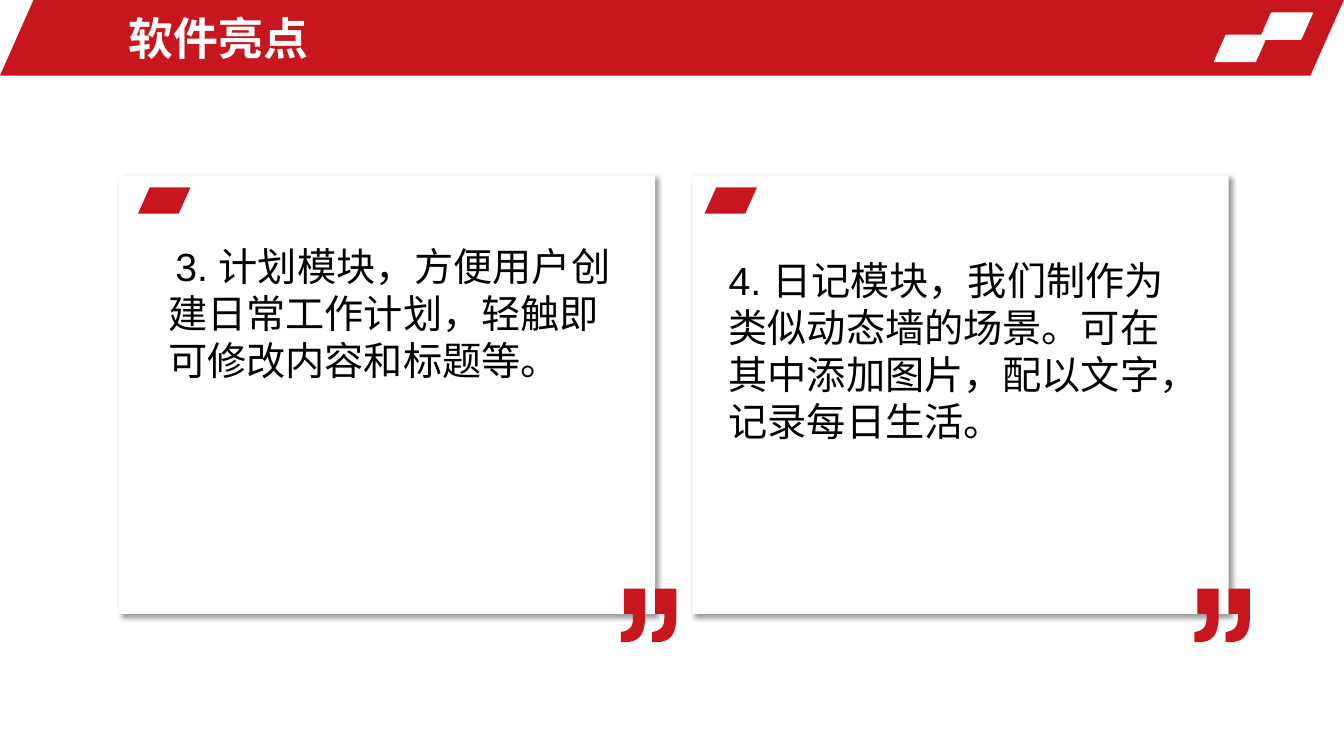
from lxml.etree import SubElement
from pptx import Presentation
from pptx.dml.color import RGBColor
from pptx.enum.shapes import MSO_SHAPE
from pptx.enum.text import MSO_ANCHOR, MSO_AUTO_SIZE
from pptx.oxml.ns import qn
from pptx.util import Emu, Inches, Pt

RED, WHITE, BLACK = "C8161E", "FFFFFF", "000000"
CARD_LEFT, CARD_TOP, CARD_PITCH = 14.16, 20.88, 68.28
CARD_SIZE = (63.84, 52.2)
TAB_SIZE = (6.24, 3.12)
CARDS = [
    ("3. 计划模块，方便用户创建日常工作计划，轻触即可修改内容和标题等。",
     2.28, (18.84, 28.2, 55.92, 18.12), 0.07),
    ("4. 日记模块，我们制作为类似动态墙的场景。可在其中添加图片，配以文字，记录每日生活。",
     1.44, (85.56, 29.88, 56.64, 31.08), 0),
]


def color(value):
    return RGBColor.from_string(value)


def curve(start, first, second, end, steps=10):
    points = []
    for step in range(1, steps + 1):
        t = step / steps
        weights = ((1 - t) ** 3, 3 * t * (1 - t) ** 2, 3 * t * t * (1 - t), t ** 3)
        corners = (start, first, second, end)
        points.append(tuple(sum(w * c[axis] for w, c in zip(weights, corners))
                            for axis in (0, 1)))
    return points


QUOTE_MARK = [
    (0.36, 0), (0.36, 3), (1.44, 3), (1.44, 3.6),
    *curve((1.44, 3.6), (1.44, 4.56), (0.96, 5.04), (0, 5.16)),
    (0, 6.36), (0.6, 6.36),
    *curve((0.6, 6.36), (2.16, 6.36), (2.88, 5.4), (2.88, 3.36)),
    (2.88, 0),
]


class SlidePainter:
    """Draws styled elements on a slide grid of 160 columns by 90 rows."""

    def __init__(self, presentation, font_name="Arial"):
        self.slide = presentation.slides.add_slide(presentation.slide_layouts[6])
        self.column = presentation.slide_width / 160
        self.row = presentation.slide_height / 90
        self.font_name = font_name

    def place(self, x, y):
        return Emu(round(x * self.column)), Emu(round(y * self.row))

    def paint(self, shape, fill, line=None):
        shape.shadow.inherit = False
        shape.fill.solid()
        shape.fill.fore_color.rgb = color(fill)
        if line:
            shape.line.color.rgb = color(line)
            shape.line.width = Pt(1)
        else:
            shape.line.fill.background()

    def block(self, kind, left, top, width, height, adjustment, fill, line=None):
        shape = self.slide.shapes.add_shape(
            kind, *self.place(left, top), *self.place(width, height))
        shape.adjustments[0] = adjustment
        self.paint(shape, fill, line)
        return shape

    def slant(self, left, top, width, height, fill, line=None):
        return self.block(MSO_SHAPE.PARALLELOGRAM, left, top, width, height, 0.444, fill, line)

    def card(self, left, top):
        shape = self.block(MSO_SHAPE.ROUNDED_RECTANGLE, left, top, *CARD_SIZE, 0, WHITE)
        effects = shape._element.spPr.find(qn("a:effectLst"))
        shadow = SubElement(effects, qn("a:outerShdw"), blurRad=str(Pt(4)), dist=str(Pt(3)),
                            dir="2700000", algn="tl", rotWithShape="0")
        shade = SubElement(shadow, qn("a:srgbClr"), val=BLACK)
        SubElement(shade, qn("a:alpha"), val="40000")

    def quote(self, left, top):
        builder = None
        for offset in (0, 3.72):
            points = [self.place(left + offset + x, top + y) for x, y in QUOTE_MARK]
            if builder is None:
                builder = self.slide.shapes.build_freeform(*points[0])
            else:
                builder.move_to(*points[0])
            builder.add_line_segments(points[1:], close=True)
        self.paint(builder.convert_to_shape(), RED)

    def text(self, words, left, top, width, height, size, fill, bold=False, indent=0):
        box = self.slide.shapes.add_textbox(*self.place(left, top), *self.place(width, height))
        frame = box.text_frame
        frame.text = words
        frame.word_wrap = True
        paragraph = frame.paragraphs[0]
        if indent:
            paragraph._p.get_or_add_pPr().set("indent", str(Inches(indent)))
        font = paragraph.runs[0].font
        font.name = self.font_name
        font.size = Pt(size)
        font.bold = bold
        font.color.rgb = color(fill)
        return frame


def main():
    presentation = Presentation()
    presentation.slide_width = Inches(13.33)
    presentation.slide_height = Inches(7.5)
    painter = SlidePainter(presentation)

    painter.slant(0, 0, 160, 9, RED)
    for left, top in ((150, 1.56), (144.6, 4.2)):
        painter.slant(left, top, *TAB_SIZE, WHITE, line=WHITE)
    title = painter.text("软件亮点", CARD_LEFT, 0.6, 92.88, 7.8, 32, WHITE, bold=True)
    title.vertical_anchor = MSO_ANCHOR.MIDDLE

    for index, (words, tab_offset, text_area, indent) in enumerate(CARDS):
        left = CARD_LEFT + index * CARD_PITCH
        painter.card(left, CARD_TOP)
        painter.slant(left + tab_offset, CARD_TOP + 1.44, *TAB_SIZE, RED)
        painter.quote(left + 59.76, CARD_TOP + 49.2)
        frame = painter.text(words, *text_area, 28, BLACK, indent=indent)
        frame.auto_size = MSO_AUTO_SIZE.SHAPE_TO_FIT_TEXT

    presentation.save("out.pptx")


if __name__ == "__main__":
    main()
